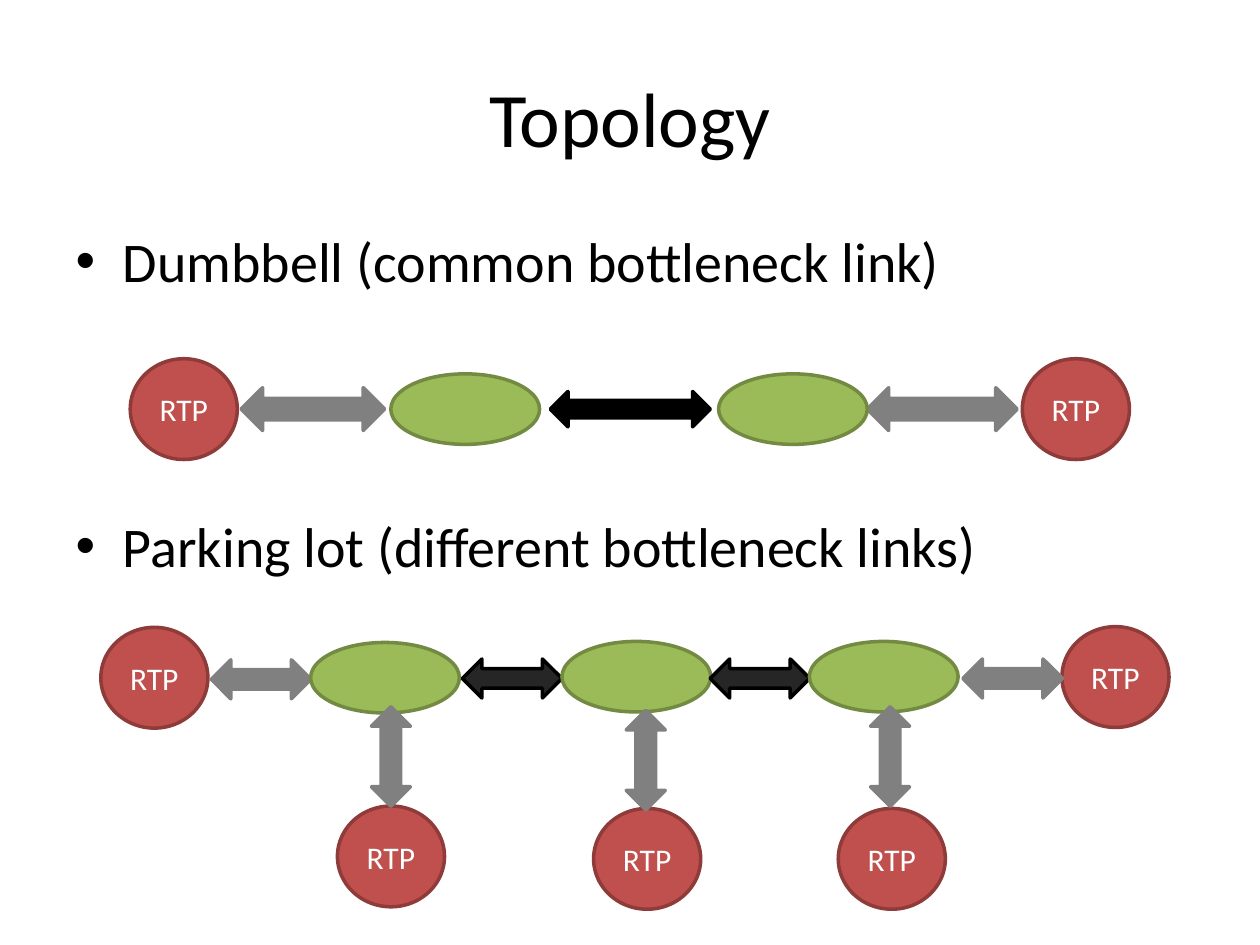
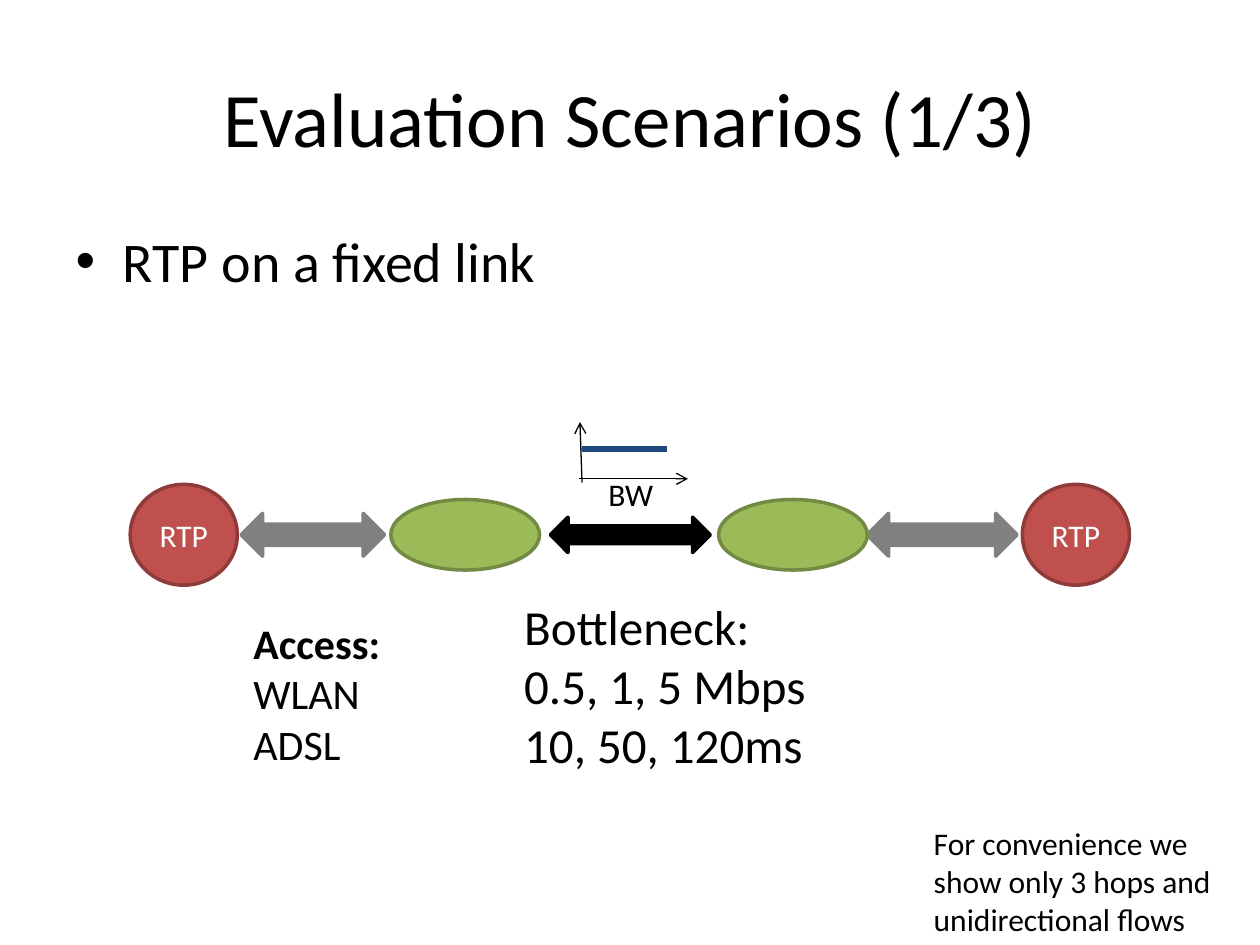
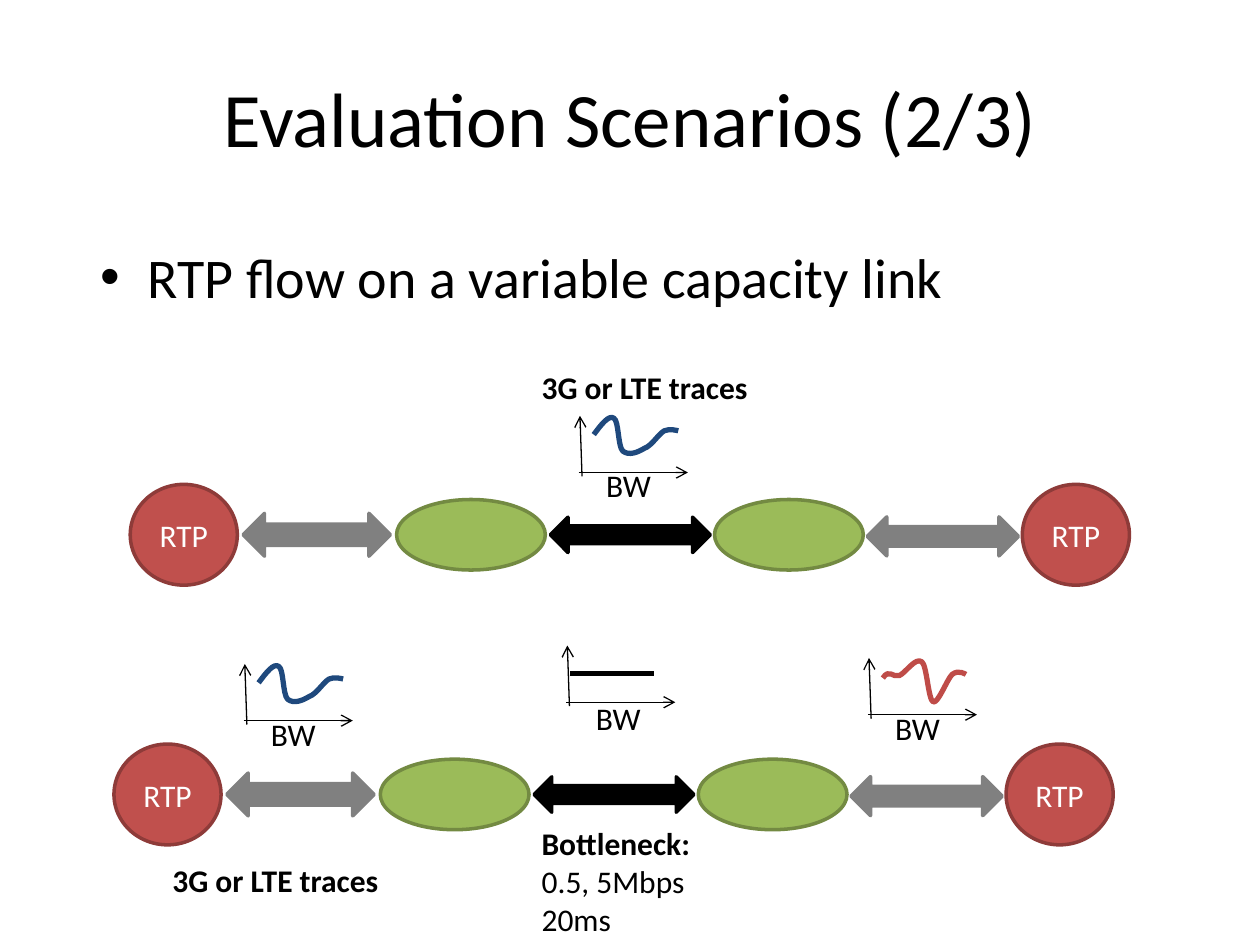
from dataclasses import dataclass

from lxml import etree
from pptx import Presentation
from pptx.dml.color import RGBColor
from pptx.enum.shapes import MSO_CONNECTOR, MSO_SHAPE
from pptx.enum.text import MSO_ANCHOR, MSO_AUTO_SIZE, PP_ALIGN
from pptx.oxml.ns import qn
from pptx.shapes.group import GroupShape
from pptx.slide import Slide
from pptx.util import Pt

ELLIPSE = MSO_SHAPE.OVAL
DOUBLE_ARROW = MSO_SHAPE.LEFT_RIGHT_ARROW
STRAIGHT = MSO_CONNECTOR.STRAIGHT
MIDDLE = MSO_ANCHOR.MIDDLE
GROW = MSO_AUTO_SIZE.SHAPE_TO_FIT_TEXT
LEFT, CENTER = PP_ALIGN.LEFT, PP_ALIGN.CENTER

FONT = "Calibri"
COLORS = {
    "black": "000000", "white": "FFFFFF", "charcoal": "262626", "gray": "808080",
    "red": "C0504D", "dark red": "8E3B39", "green": "9BBB59", "dark green": "738A42",
    "blue trace": "1F497D", "red trace": "BF4C48",
}

Point = tuple[float, float]
Canvas = Slide | GroupShape


@dataclass(frozen=True)
class Style:
    """Look of one kind of network part."""
    outline: MSO_SHAPE
    width: float
    height: float
    fill: str
    line: str
    label: str = ""


@dataclass(frozen=True)
class Part:
    """A network part centred at x, dy below the middle of its row."""
    style: Style
    x: float
    dy: float = 0
    rotation: float = 0


@dataclass(frozen=True)
class Trace:
    """Bandwidth over time, relative to the origin of its axes."""
    color: str
    points: tuple[Point, ...]
    label_at: Point


@dataclass(frozen=True)
class Line:
    text: str
    bold: bool = False


# Network parts
HOST = Style(ELLIPSE, 61.2, 57.6, "red", "dark red", "RTP")
ROUTER = Style(ELLIPSE, 85, 40.3, "green", "dark green")
BOTTLENECK = Style(DOUBLE_ARROW, 91.4, 20.2, "black", "black")
LEFT_ACCESS = Style(DOUBLE_ARROW, 82, 24.5, "gray", "gray")
RIGHT_ACCESS = Style(DOUBLE_ARROW, 85.7, 24.5, "gray", "gray")
LEFT_RADIO = Style(DOUBLE_ARROW, 84.2, 24.5, "gray", "gray")
RIGHT_RADIO = Style(DOUBLE_ARROW, 86.4, 22.3, "gray", "gray")
SHORT_ACCESS = Style(DOUBLE_ARROW, 56.9, 22.3, "gray", "gray")
SHORT_BOTTLENECK = Style(DOUBLE_ARROW, 56.9, 22.3, "charcoal", "black")

DUMBBELL_ENDS = (Part(HOST, 105), Part(HOST, 614.8), Part(BOTTLENECK, 360.2))
FIXED_DUMBBELL = DUMBBELL_ENDS + (
    Part(LEFT_ACCESS, 178.8), Part(RIGHT_ACCESS, 538.4),
    Part(ROUTER, 265.8), Part(ROUTER, 453.1),
)
RADIO_DUMBBELL = DUMBBELL_ENDS + (
    Part(LEFT_RADIO, 181), Part(RIGHT_RADIO, 538.8, 0.9),
    Part(ROUTER, 269.1), Part(ROUTER, 450.8),
)
PARKING_LOT = (
    Part(HOST, 88.2), Part(HOST, 637.4, -0.4),
    Part(SHORT_ACCESS, 149.2, 0.9), Part(ROUTER, 220),
    Part(SHORT_BOTTLENECK, 292.7, 0.4), Part(ROUTER, 363.6, -0.6),
    Part(SHORT_BOTTLENECK, 434.3, 0.4), Part(ROUTER, 505, -0.6),
    Part(SHORT_ACCESS, 578.7, 0.4),
)
# Side branches: centres of host and link, then their drops
BRANCHES = ((223.4, 223.4, 102.1, 45),
            (369.8, 369, 103.5, 47.1),
            (509.6, 508.6, 103.5, 45))

# Bandwidth traces: two points are a straight line, more are Bezier curves
FIXED_RATE = Trace("blue trace", ((1.4, -17), (49.7, -17)), (9.2, -5.6))
BOTTLENECK_RATE = Trace("black", ((1.4, -16.6), (49.7, -16.6)), (9.2, -5.2))
MOBILE_RATE = Trace("blue trace", (
    (7.9, -21.6), (12.2, -27.4), (16.6, -33.1), (19.4, -31),
    (22.3, -29.5), (21.6, -15.1), (24.5, -12.2),
    (28.1, -9.4), (33.1, -11.5), (36.7, -13.7),
    (41, -15.1), (44.6, -21.6), (48.2, -23.8),
    (51.1, -25.2), (56.2, -23.8), (56.2, -23.8)), (7.9, -7))
FAR_MOBILE_RATE = Trace("red trace", (
    (7.9, -20.9), (11.5, -26.6), (13.7, -20.9), (17.3, -22.3),
    (20.9, -23.8), (26.6, -33.1), (30.2, -30.2),
    (33.1, -28.1), (33.8, -8.6), (36.7, -7.2),
    (39.6, -6.5), (44.6, -20.2), (47.5, -23),
    (51.1, -25.9), (55.4, -23), (55.4, -23)), (7.9, -6.5))


def rgb(name: str) -> RGBColor:
    return RGBColor.from_string(COLORS[name])


def add_run(paragraph, text: str, size: float, color: str = "black",
            bold: bool = False, align: PP_ALIGN = LEFT) -> None:
    paragraph.alignment = align
    run = paragraph.add_run()
    run.text = text
    run.font.name, run.font.size, run.font.bold = FONT, Pt(size), bold
    run.font.color.rgb = rgb(color)


def add_slide(title: str, bullets: list[str], gap: float = 0, body_at: Point = (36, 126)) -> Slide:
    """Fill title and list; gap is the space before each later bullet."""
    slide = deck.slides.add_slide(deck.slide_layouts[1])
    heading, body = slide.placeholders
    heading.left, heading.top, heading.width, heading.height = Pt(36), Pt(21.6), Pt(648), Pt(90)
    add_run(heading.text_frame.paragraphs[0], title, 44, align=CENTER)
    body.left, body.top = (Pt(v) for v in body_at)
    body.width, body.height = Pt(648), Pt(356.4)
    for index, bullet in enumerate(bullets):
        frame = body.text_frame
        paragraph = frame.add_paragraph() if index else frame.paragraphs[0]
        if index:
            paragraph.space_before = Pt(gap)
        add_run(paragraph, bullet, 32)
    return slide


def add_part(slide: Slide, part: Part, middle: float, shift: float = 0) -> None:
    style = part.style
    shape = slide.shapes.add_shape(
        style.outline, Pt(part.x + shift - style.width / 2),
        Pt(middle + part.dy - style.height / 2), Pt(style.width), Pt(style.height))
    shape.rotation = part.rotation
    shape.shadow.inherit = False
    shape.fill.solid()
    shape.fill.fore_color.rgb = rgb(style.fill)
    shape.line.color.rgb = rgb(style.line)
    shape.line.width = Pt(2)
    if style.label:
        shape.text_frame.vertical_anchor = MIDDLE
        add_run(shape.text_frame.paragraphs[0], style.label, 18, "white", align=CENTER)


def add_network(slide: Slide, parts: tuple[Part, ...], middle: float, shift: float = 0) -> None:
    for part in parts:
        add_part(slide, part, middle, shift)


def add_note(canvas: Canvas, at: Point, size: Point, lines: list[Line],
             font_size: float = 18, wrap: bool = False) -> None:
    frame = canvas.shapes.add_textbox(*(Pt(v) for v in at + size)).text_frame
    frame.word_wrap = wrap
    frame.auto_size = GROW
    for index, line in enumerate(lines):
        paragraph = frame.add_paragraph() if index else frame.paragraphs[0]
        add_run(paragraph, line.text, font_size, bold=line.bold)


def add_line(canvas: Canvas, start: Point, end: Point, color: str = "black",
             width: float = 0.75, arrow: bool = False) -> None:
    line = canvas.shapes.add_connector(STRAIGHT, *(Pt(v) for v in start + end))
    line.line.color.rgb = rgb(color)
    line.line.width = Pt(width)
    if arrow:
        etree.SubElement(line.line._get_or_add_ln(), qn("a:tailEnd"), type="arrow")
    etree.SubElement(line._element.spPr, qn("a:effectLst"))


def add_curve(canvas: Canvas, points: list[Point], color: str) -> None:
    """Chain of cubic Bezier curves: a start, then three points per curve."""
    start, *controls = [(Pt(x), Pt(y)) for x, y in points]
    builder = canvas.shapes.build_freeform(*start)
    builder.add_line_segments(controls, close=False)
    curve = builder.convert_to_shape()
    # Join each three line segments into one curve
    segments = list(curve._element.iter(qn("a:lnTo")))
    for first in range(0, len(segments), 3):
        bezier = etree.Element(qn("a:cubicBezTo"))
        segments[first].addprevious(bezier)
        for segment in segments[first:first + 3]:
            bezier.append(segment[0])
            segment.getparent().remove(segment)
    curve.shadow.inherit = False
    curve.fill.background()
    curve.line.color.rgb = rgb(color)
    curve.line.width = Pt(3)


def add_bandwidth(slide: Slide, x: float, y: float, trace: Trace) -> None:
    """Small bandwidth sketch with its origin at x, y."""
    sketch = slide.shapes.add_group_shape()
    add_line(sketch, (x + 1.2, y + 2.2), (x, y - 32.4), arrow=True)
    add_line(sketch, (x - 0.7, y), (x + 61.7, y), arrow=True)
    points = [(x + dx, y + dy) for dx, dy in trace.points]
    if len(points) == 2:
        add_line(sketch, points[0], points[1], trace.color, 3)
    else:
        add_curve(sketch, points, trace.color)
    label_dx, label_dy = trace.label_at
    add_note(sketch, (x + label_dx, y + label_dy), (41, 28.8), [Line("BW")])


deck = Presentation()
deck.slide_width, deck.slide_height = Pt(720), Pt(540)

# Slide 1: topologies
topology = add_slide("Topology", ["Dumbbell (common bottleneck link)",
                                  "Parking lot (different bottleneck links)"], gap=124.2)
add_network(topology, FIXED_DUMBBELL, 233.8)
add_network(topology, PARKING_LOT, 387.3)
for host_x, link_x, host_drop, link_drop in BRANCHES:
    add_part(topology, Part(HOST, host_x, host_drop), 387.3)
    add_part(topology, Part(SHORT_ACCESS, link_x, link_drop, 90), 387.3)

# Slide 2: fixed link
fixed = add_slide("Evaluation Scenarios (1/3)", ["RTP on a fixed link"])
add_network(fixed, FIXED_DUMBBELL, 305.6)
add_bandwidth(fixed, 331.4, 273.6, FIXED_RATE)
add_note(fixed, (526.5, 467.3), (193.5, 72.7),
         [Line("For convenience we show only 3 hops and unidirectional flows")], wrap=True)
add_note(fixed, (292.5, 337.3), (177.1, 108.7),
         [Line("Bottleneck:"), Line("0.5, 1, 5 Mbps"), Line("10, 50, 120ms")], 28)
add_note(fixed, (137.7, 349.2), (87.8, 94.3),
         [Line("Access:", True), Line("WLAN"), Line("ADSL")], 24)

# Slide 3: variable links
variable = add_slide("Evaluation Scenarios (2/3)", ["RTP flow on a variable capacity link"],
                     body_at=(50, 135))
for middle, shift in ((305.6, 0), (454, -9.3)):
    add_network(variable, RADIO_DUMBBELL, middle, shift)
for x, y, trace in ((331.4, 270, MOBILE_RATE), (139.9, 411.8, MOBILE_RATE),
                    (324.2, 401.3, BOTTLENECK_RATE), (496.6, 408.4, FAR_MOBILE_RATE)):
    add_bandwidth(variable, x, y, trace)
add_note(variable, (302.4, 467.3), (100.1, 72.7),
         [Line("Bottleneck:", True), Line("0.5, 5Mbps"), Line("20ms")])
for at in ((91.4, 488.6), (302.4, 206.6)):
    add_note(variable, at, (135.4, 28.8), [Line("3G or LTE traces", True)])

deck.save("out.pptx")
